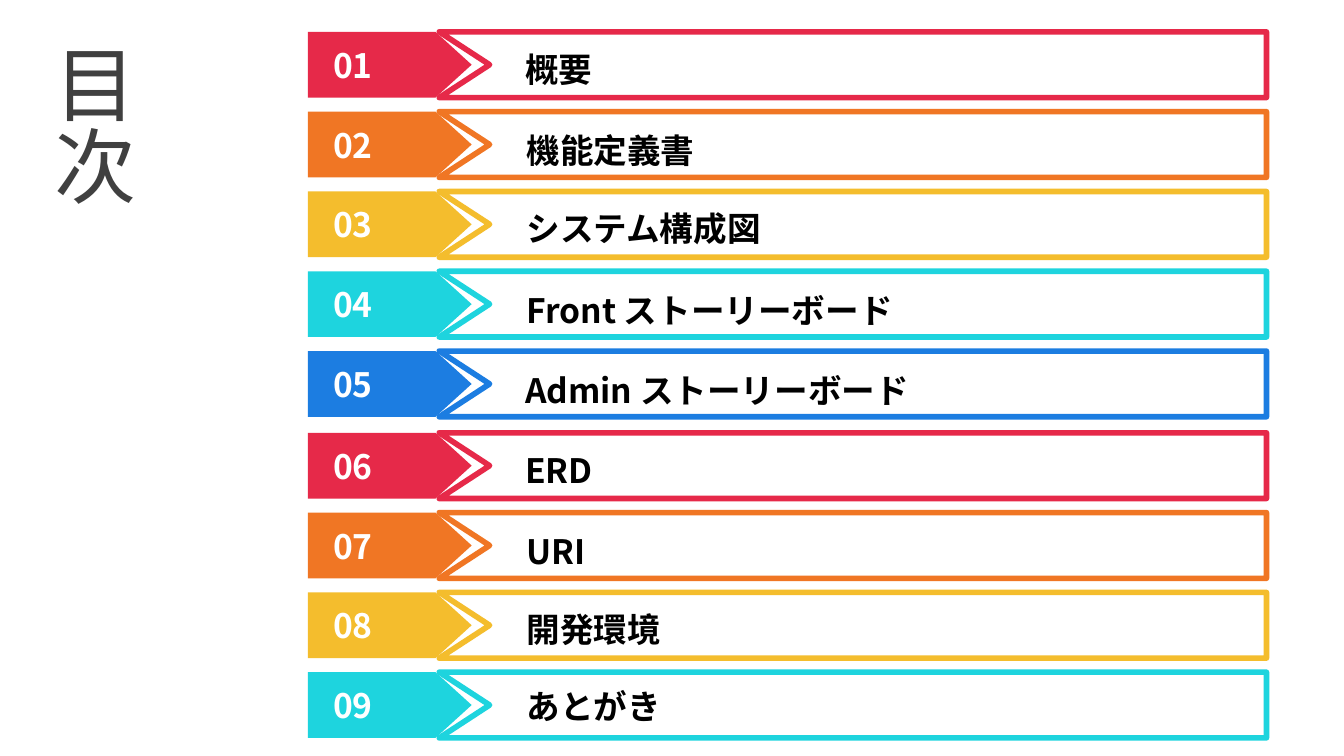
from dataclasses import dataclass
from itertools import cycle

from lxml.etree import SubElement
from pptx import Presentation
from pptx.dml.color import RGBColor
from pptx.enum.shapes import MSO_SHAPE as Preset
from pptx.enum.text import MSO_ANCHOR as Anchor, MSO_AUTO_SIZE as AutoSize, PP_ALIGN as Align
from pptx.oxml.ns import qn
from pptx.shapes.group import GroupShape
from pptx.shapes.shapetree import GroupShapes
from pptx.text.text import TextFrame
from pptx.util import Pt

RED = RGBColor(0xE6, 0x29, 0x49)
ORANGE = RGBColor(0xF0, 0x76, 0x24)
YELLOW = RGBColor(0xF4, 0xBD, 0x2D)
CYAN = RGBColor(0x1E, 0xD4, 0xDE)
BLUE = RGBColor(0x1C, 0x7D, 0xE1)
WHITE = RGBColor(0xFF, 0xFF, 0xFF)
BLACK = RGBColor(0x00, 0x00, 0x00)
GRAY = RGBColor(0x40, 0x40, 0x40)
FONT = "Noto Sans CJK JP"

ROW_HEIGHT = 35.2
ROW_PITCH = 42.75
FIRST_TOP = 17.1
SECOND_TOP = 231.9
ROWS_IN_FIRST_BLOCK = 5

NUMBER_FORMAT = {
    "word_wrap": True,
    "auto_size": AutoSize.SHAPE_TO_FIT_TEXT,
    "vertical_anchor": Anchor.MIDDLE,
    "margin_top": 0,
    "margin_bottom": 0,
}
HEADING_FORMAT = {"word_wrap": True, "auto_size": AutoSize.SHAPE_TO_FIT_TEXT}
TITLE_FORMAT = {"word_wrap": True, "vertical_anchor": Anchor.MIDDLE}


@dataclass(frozen=True)
class Chapter:
    heading: str
    drop: float
    left: float = 275
    width: float = 381.6


CHAPTERS = [
    Chapter("概要", 5.8, left=274.3),
    Chapter("機能定義書", 6.4),
    Chapter("システム構成図", 5),
    Chapter("Front ストーリーボード", 6.4),
    Chapter("Admin ストーリーボード", 6.4, left=274.3),
    Chapter("ERD", 5.8, left=274.3),
    Chapter("URI", 6.4),
    Chapter("開発環境", 5, width=102.2),
    Chapter("あとがき", 3.6),
]


def apply_format(target: object, values: dict) -> None:
    for attribute, value in values.items():
        setattr(target, attribute, value)


def write(frame: TextFrame, wording: str, size: float, color: RGBColor, bold: bool) -> None:
    paragraph = frame.paragraphs[0]
    paragraph.alignment = Align.LEFT
    run = paragraph.add_run()
    run.text = wording
    apply_format(run.font, {"name": FONT, "size": Pt(size), "bold": bold})
    run.font.color.rgb = color
    SubElement(run.font._element, qn("a:ea"), typeface=FONT)


def draw_tab(shapes: GroupShapes, top: float, color: RGBColor) -> None:
    tab = shapes.add_shape(Preset.PENTAGON, Pt(164.9), Pt(top), Pt(87.8), Pt(ROW_HEIGHT))
    tab.adjustments[0] = 0.55
    tab.shadow.inherit = False
    tab.fill.solid()
    tab.fill.fore_color.rgb = color
    tab.line.fill.background()


def draw_banner(shapes: GroupShapes, top: float, color: RGBColor) -> None:
    left, right, notch = 235.3, 678.5, 262.3
    bottom = top + ROW_HEIGHT
    outline = shapes.build_freeform(Pt(left), Pt(top))
    corners = [(right, top), (right, bottom), (left, bottom), (notch, top + ROW_HEIGHT / 2)]
    outline.add_line_segments([(Pt(x), Pt(y)) for x, y in corners], close=True)
    banner = outline.convert_to_shape()
    banner.shadow.inherit = False
    banner.fill.solid()
    banner.fill.fore_color.rgb = WHITE
    banner.line.color.rgb = color
    banner.line.width = Pt(3)
    SubElement(banner.line._get_or_add_ln(), qn("a:round"))


def draw_chapter(row: GroupShape, chapter: Chapter, number: int, top: float, color: RGBColor) -> None:
    draw_tab(row.shapes, top, color)
    draw_banner(row.shapes, top, color)
    counter = row.shapes.add_textbox(Pt(171.4), Pt(top + 6.9), Pt(47.5), Pt(21.6)).text_frame
    apply_format(counter, NUMBER_FORMAT)
    write(counter, f"{number:02d}", 18, WHITE, True)
    heading = row.shapes.add_textbox(
        Pt(chapter.left), Pt(top + chapter.drop), Pt(chapter.width), Pt(29.1)
    ).text_frame
    apply_format(heading, HEADING_FORMAT)
    write(heading, chapter.heading, 18, BLACK, True)


def main() -> None:
    deck = Presentation()
    apply_format(deck, {"slide_width": Pt(720), "slide_height": Pt(405)})
    slide = deck.slides.add_slide(deck.slide_layouts[5])

    title = slide.shapes.title
    apply_format(title, {"left": Pt(7.2), "top": Pt(19.4), "width": Pt(85), "height": Pt(103.7)})
    apply_format(title.text_frame, TITLE_FORMAT)
    title.text_frame._txBody.bodyPr.set("vert", "eaVert")
    write(title.text_frame, "目次", 44, GRAY, False)

    colors = cycle([RED, ORANGE, YELLOW, CYAN, BLUE])
    for index, (chapter, color) in enumerate(zip(CHAPTERS, colors)):
        block, step = divmod(index, ROWS_IN_FIRST_BLOCK)
        top = (FIRST_TOP, SECOND_TOP)[block] + step * ROW_PITCH
        draw_chapter(slide.shapes.add_group_shape(), chapter, index + 1, top, color)

    deck.save("out.pptx")


if __name__ == "__main__":
    main()
